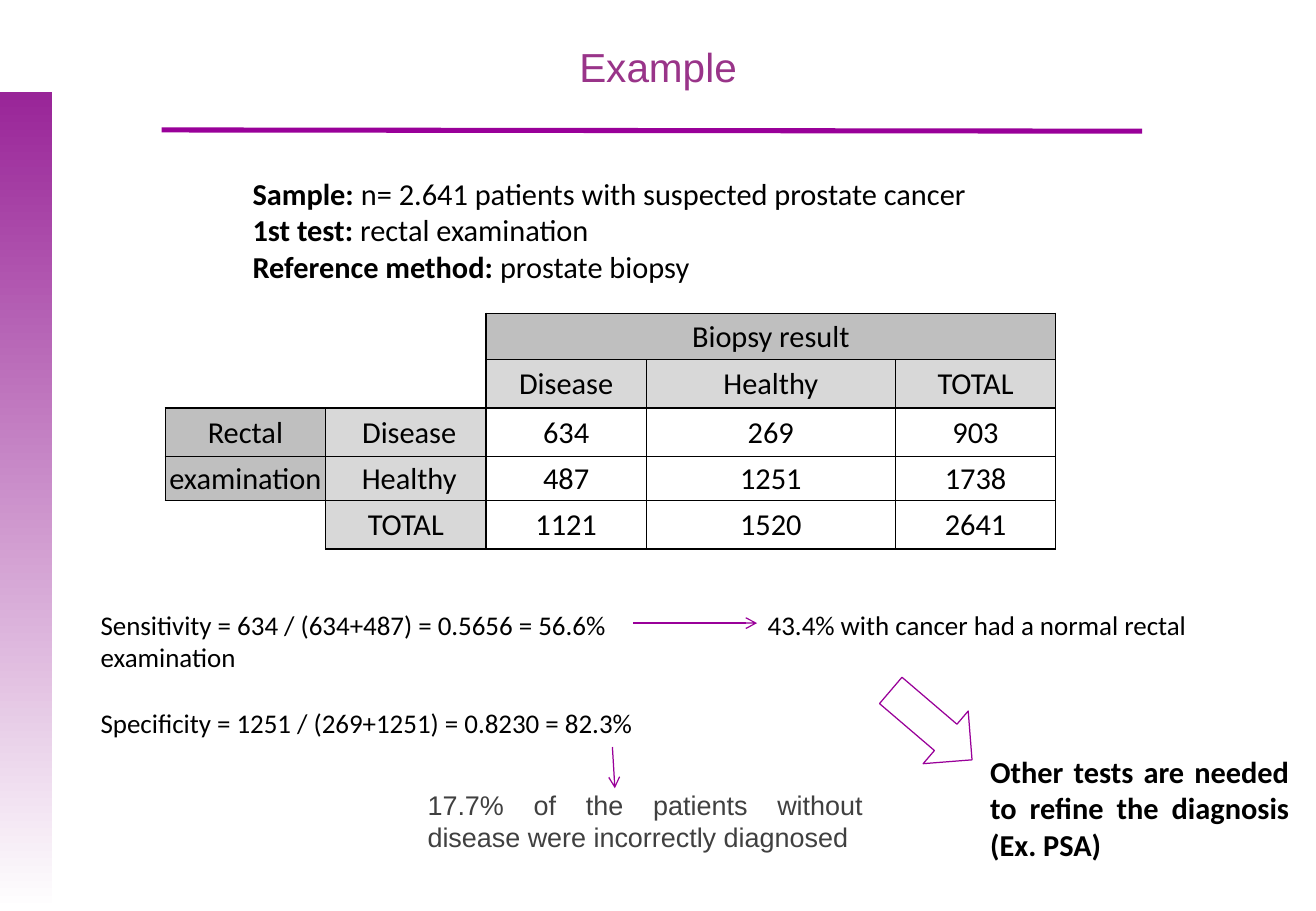
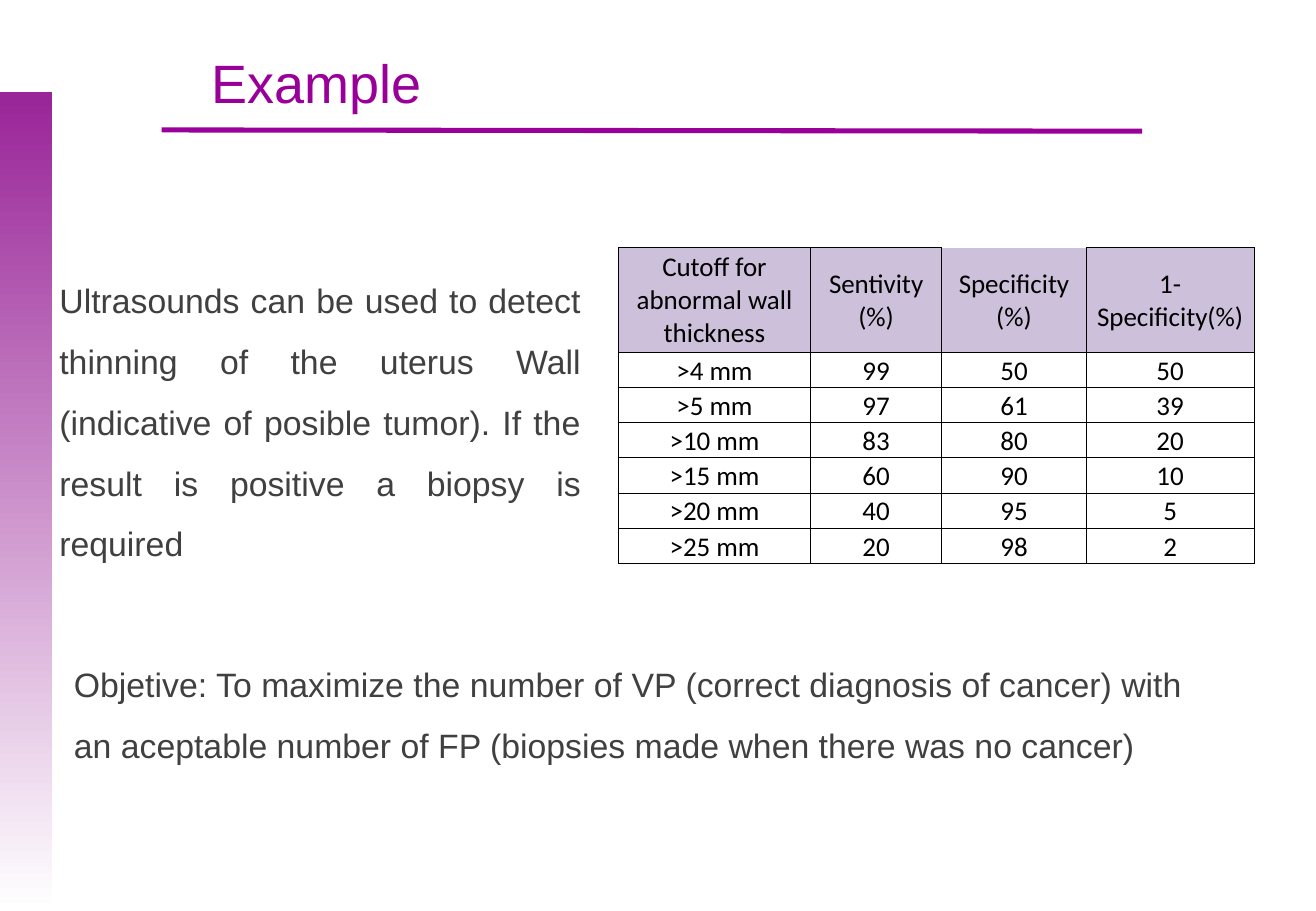
from lxml.etree import SubElement
from pptx import Presentation
from pptx.dml.color import RGBColor
from pptx.enum.shapes import MSO_CONNECTOR, MSO_SHAPE
from pptx.enum.text import MSO_ANCHOR, PP_ALIGN
from pptx.oxml import parse_xml
from pptx.oxml.ns import nsdecls, qn
from pptx.util import Inches, Pt

COLORS = {
    "accent": "990099",
    "title": "993489",
    "band": "992598",
    "white": "FFFFFF",
    "black": "000000",
    "body": "404040",
    "group": "BFBFBF",
    "label": "D8D8D8",
    "lilac": "CCC0DA",
}
HEAD_FONT = "Arial"
DATA_FONT = "Calibri"
NO_GRID_STYLE = "{2D5ABB26-0587-4C30-8999-92F81FD0307C}"


def rgb(name):
    return RGBColor.from_string(COLORS[name])


def style_runs(p, size, font, color):
    for r in p.runs:
        r.font.size = Pt(size)
        r.font.name = font
        r.font.color.rgb = rgb(color)


def add_text(slide, box, paras, size, font=DATA_FONT, color="black",
             align=PP_ALIGN.LEFT, spacing=None, after=None):
    """Add a text box; each paragraph is a list of (text, bold) pairs."""
    tf = slide.shapes.add_textbox(*map(Inches, box)).text_frame
    tf.word_wrap = True
    for i, parts in enumerate(paras):
        p = tf.add_paragraph() if i else tf.paragraphs[0]
        p.alignment = align
        if spacing:
            p.line_spacing = spacing
        if after and i < len(paras) - 1:
            p.space_after = Pt(after)
        for text, bold in parts:
            r = p.add_run()
            r.text = text
            r.font.bold = bold
        style_runs(p, size, font, color)
    return tf


def add_tab_stop(p, pos):
    tabs = SubElement(p._p.get_or_add_pPr(), qn("a:tabLst"))
    SubElement(tabs, qn("a:tab"), pos=str(Inches(pos)), algn="l")


def add_line(slide, start, end, width, arrow=False):
    cx = slide.shapes.add_connector(
        MSO_CONNECTOR.STRAIGHT, *map(Inches, (*start, *end)))
    cx.line.color.rgb = rgb("accent")
    cx.line.width = Pt(width)
    if arrow:
        SubElement(cx.line._get_or_add_ln(), qn("a:tailEnd"), type="arrow")
    SubElement(cx._element.spPr, qn("a:effectLst"))


def add_frame(slide):
    """Add the fading side band and the rule that every slide shares."""
    sp = slide.shapes.add_shape(
        MSO_SHAPE.RECTANGLE, *map(Inches, (0, 0.76, 0.43, 6.74)))
    sp.shadow.inherit = False
    sp.line.fill.background()
    sp.fill.gradient()
    sp.fill.gradient_angle = 270
    for stop, pos, name in zip(sp.fill.gradient_stops, (0, 1), ("band", "white")):
        stop.position = pos
        stop.color.rgb = rgb(name)
    add_line(slide, (1.33, 1.07), (9.4, 1.08), 3)


def add_title(slide, box, size, color, align):
    add_text(slide, box, [[("Example", None)]], size, HEAD_FONT, color, align)


def set_borders(cell, widths):
    """Draw cell sides from a dict of side letter to width in points."""
    tcPr = cell._tc.get_or_add_tcPr()
    sides = [s for s in "LRTB" if widths[s]]
    for i, side in enumerate(sides):
        tcPr.insert(i, parse_xml(
            f'<a:ln{side} {nsdecls("a")} w="{Pt(widths[side])}"><a:solidFill>'
            f'<a:srgbClr val="{COLORS["black"]}"/></a:solidFill></a:ln{side}>'))


def add_grid(slide, origin, col_widths, row_heights, data, size,
             fill_of, borders_of, anchor_of, merge=None):
    """Add a table whose fill, borders and anchor follow from row and column."""
    box = (*origin, sum(col_widths), sum(row_heights))
    frame = slide.shapes.add_table(
        len(row_heights), len(col_widths), *map(Inches, box))
    table = frame.table
    table.first_row = table.horz_banding = False
    table._tbl.tblPr.find(qn("a:tableStyleId")).text = NO_GRID_STYLE
    for col, width in zip(table.columns, col_widths):
        col.width = Inches(width)
    for row, height in zip(table.rows, row_heights):
        row.height = Inches(height)
    if merge:
        first, last = merge
        table.cell(*first).merge(table.cell(*last))
    for r, values in enumerate(data):
        for c, value in enumerate(values):
            cell = table.cell(r, c)
            cell.margin_left = cell.margin_right = cell.margin_top = Inches(0.01)
            cell.margin_bottom = 0
            cell.vertical_anchor = anchor_of(r)
            fill = fill_of(r, c) if value else None
            if fill:
                cell.fill.solid()
                cell.fill.fore_color.rgb = rgb(fill)
            else:
                cell.fill.background()
            if value:
                p = cell.text_frame.paragraphs[0]
                p.text = value
                p.alignment = PP_ALIGN.CENTER
                style_runs(p, size, DATA_FONT, "black")
                set_borders(cell, borders_of(r, c, cell.span_width))


def add_biopsy_table(slide, origin):
    data = [
        ["", "", "Biopsy result", "", ""],
        ["", "", "Disease", "Healthy", "TOTAL"],
        ["Rectal", " Disease", "634", "269", "903"],
        ["examination", " Healthy", "487", "1251", "1738"],
        ["", "TOTAL", "1121", "1520", "2641"],
    ]
    heavy_cols, heavy_rows = {0, 1, 2, 5}, {0, 2, 5}
    special = {(2, 0, "B"): 0, (3, 0, "T"): 0, (3, 0, "B"): 1,
               (2, 4, "B"): 1, (3, 4, "T"): 1}

    def fill_of(r, c):
        if r == 0 or c == 0:
            return "group"
        return "label" if r == 1 or c == 1 else None

    def borders_of(r, c, span):
        widths = {"L": 1 if c in heavy_cols else 0.5,
                  "R": 1 if c + span in heavy_cols else 0.5,
                  "T": 1 if r in heavy_rows else 0.5,
                  "B": 1 if r + 1 in heavy_rows else 0.5}
        return {s: special.get((r, c, s), w) for s, w in widths.items()}

    add_grid(slide, origin, [1.32, 1.32, 1.32, 2.05, 1.32],
             [0.38, 0.4, 0.4, 0.36, 0.4], data, 18, fill_of, borders_of,
             lambda r: MSO_ANCHOR.MIDDLE, merge=((0, 2), (0, 4)))


def add_cutoff_table(slide, origin):
    data = [
        ["Cutoff for abnormal wall thickness", "Sentivity (%)",
         "Specificity (%)", "1-Specificity(%)"],
        [">4 mm", "99", "50", "50"],
        [">5 mm", "97", "61", "39"],
        [">10 mm", "83", "80", "20"],
        [">15 mm", "60", "90", "10"],
        [">20 mm", "40", "95", "5"],
        [">25 mm", "20", "98", "2"],
    ]

    def borders_of(r, c, span):
        return dict.fromkeys("LRB", 0.5) | {"T": 0 if (r, c) == (0, 2) else 0.5}

    add_grid(slide, origin, [1.58, 1.08, 1.19, 1.38], [0.86] + [0.29] * 6,
             data, 16, lambda r, c: None if r else "lilac", borders_of,
             lambda r: MSO_ANCHOR.BOTTOM if r else MSO_ANCHOR.MIDDLE)


def add_block_arrow(slide, box, rotation):
    sp = slide.shapes.add_shape(MSO_SHAPE.DOWN_ARROW, *map(Inches, box))
    sp.rotation = rotation
    sp.shadow.inherit = False
    sp.fill.background()
    sp.line.color.rgb = rgb("accent")
    sp.line.width = Pt(0.75)


def add_findings(slide, left, top):
    """Add the two calculations and what follows from each of them."""
    tf = add_text(slide, (left, top, 10.1, 1.45), [
        [("Sensitivity = 634 / (634+487) = 0.5656 = 56.6%\t"
          "43.4% with cancer had a normal rectal examination", None)],
        [("Specificity = 1251 / (269+1251) = 0.8230 = 82.3%", None)],
    ], 16, after=19.5)
    add_tab_stop(tf.paragraphs[0], 5.49)
    add_line(slide, (left + 4.48, top + 0.17), (left + 5.5, top + 0.17), 0.75, True)
    add_block_arrow(slide, (left + 6.65, top + 0.57, 0.57, 0.88), 310.5)
    add_text(slide, (left + 7.32, top + 1.19, 2.66, 1.01),
             [[("Other tests are needed to refine the diagnosis (Ex. PSA)", True)]],
             18, align=PP_ALIGN.JUSTIFY)
    add_line(slide, (left + 4.31, top + 1.19), (left + 4.33, top + 1.53), 0.75, True)
    add_text(slide, (left + 2.69, top + 1.48, 3.78, 0.64),
             [[("17.7% of the patients without disease were incorrectly diagnosed",
                None)]],
             16, HEAD_FONT, "body", PP_ALIGN.JUSTIFY)


def build_prostate_slide(slide):
    add_frame(slide)
    add_title(slide, (0.54, 0.3, 9.75, 1.25), 24, "title", PP_ALIGN.CENTER)
    add_text(slide, (1.98, 1.39, 8.13, 1.01), [
        [("Sample:", True),
         (" n= 2.641 patients with suspected prostate cancer", False)],
        [("1st test: ", True), ("rectal examination", False)],
        [("Reference method: ", True), ("prostate biopsy", False)],
    ], 18)
    add_biopsy_table(slide, (1.36, 2.58))
    add_findings(slide, 0.73, 4.96)


def build_ultrasound_slide(slide):
    add_frame(slide)
    add_title(slide, (1.64, 0.36, 9, 0.46), 32, "accent", PP_ALIGN.LEFT)
    add_cutoff_table(slide, (5.09, 2.04))
    statements = [
        ((0.39, 2.09, 4.49, 3.07),
         "Ultrasounds can be used to detect thinning of the uterus Wall "
         "(indicative of posible tumor). If the result is positive a biopsy "
         "is required"),
        ((0.51, 5.25, 9.32, 1.05),
         "Objetive: To maximize the number of VP (correct diagnosis of cancer) "
         "with an aceptable number of FP (biopsies made when there was no cancer)"),
    ]
    for box, text in statements:
        add_text(slide, box, [[(text, None)]], 20, HEAD_FONT, "body",
                 PP_ALIGN.JUSTIFY, spacing=1.5)


def main():
    prs = Presentation()
    prs.slide_width, prs.slide_height = Inches(10.83), Inches(7.5)
    blank = prs.slide_layouts[6]
    for build in (build_prostate_slide, build_ultrasound_slide):
        build(prs.slides.add_slide(blank))
    prs.save("out.pptx")


if __name__ == "__main__":
    main()
